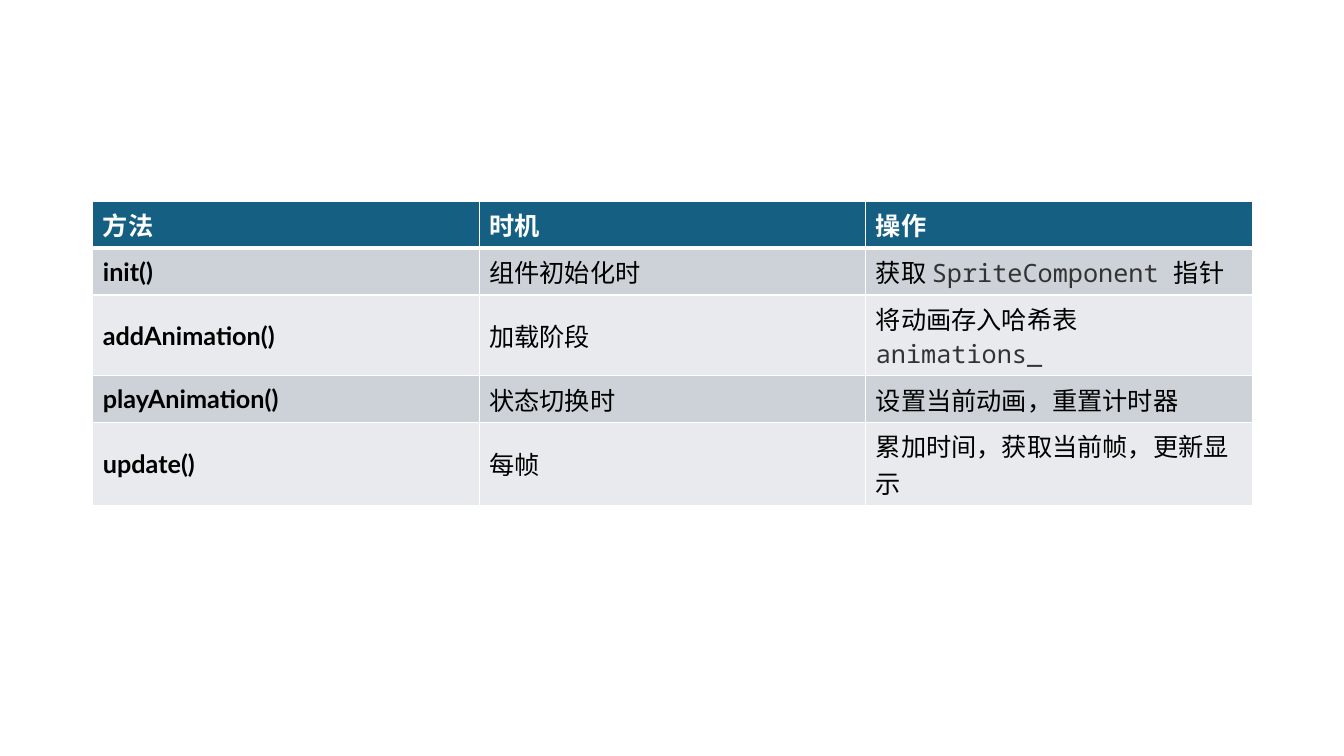
from lxml.etree import SubElement
from pptx import Presentation
from pptx.dml.color import RGBColor
from pptx.enum.text import MSO_ANCHOR
from pptx.oxml.ns import qn
from pptx.util import Inches, Pt


def color(code):
    return RGBColor.from_string(code)


def border(cell, side, width):
    line = SubElement(cell._tc.get_or_add_tcPr(), qn("a:" + side), w=str(Pt(width)))
    fill = SubElement(line, qn("a:solidFill"))
    SubElement(fill, qn("a:srgbClr"), val="FFFFFF")


# Backticks enclose code
rows = [
    ("方法", "时机", "操作"),
    ("init()", "组件初始化时", "获取 `SpriteComponent `指针"),
    ("addAnimation()", "加载阶段", "将动画存入哈希表 `animations_"),
    ("playAnimation()", "状态切换时", "设置当前动画，重置计时器"),
    ("update()", "每帧", "累加时间，获取当前帧，更新显示"),
]

# Slide
deck = Presentation()
deck.slide_width, deck.slide_height = Inches(13.33), Inches(7.5)
slide = deck.slides.add_slide(deck.slide_layouts[6])

# Table
table = slide.shapes.add_table(
    len(rows), 3, Inches(0.92), Inches(2), Inches(11.5), Inches(2.05)
).table

# Cells
for r, row in enumerate(rows):
    head = r == 0
    back = "156082" if head else "CCD2D8" if r % 2 else "E8EAED"
    for c, text in enumerate(row):
        cell = table.cell(r, c)
        cell.vertical_anchor = MSO_ANCHOR.MIDDLE
        for side in ("lnL", "lnR", "lnT", "lnB"):
            thick = (head and side == "lnB") or (r == 1 and side == "lnT")
            border(cell, side, 3 if thick else 1)
        cell.fill.solid()
        cell.fill.fore_color.rgb = color(back)

        # Text, with code in a fixed-width font
        para = cell.text_frame.paragraphs[0]
        para.font.size = Pt(18)
        para.font.bold = head or c == 0
        for i, part in enumerate(text.split("`")):
            run = para.add_run()
            run.text = part
            font = run.font
            font.size = Pt(18)
            font.bold = head or c == 0
            font.name = "Noto Sans Mono" if i % 2 else "Lato"
            font.color.rgb = color("FFFFFF" if head else "333333" if i % 2 else "000000")

deck.save("out.pptx")
